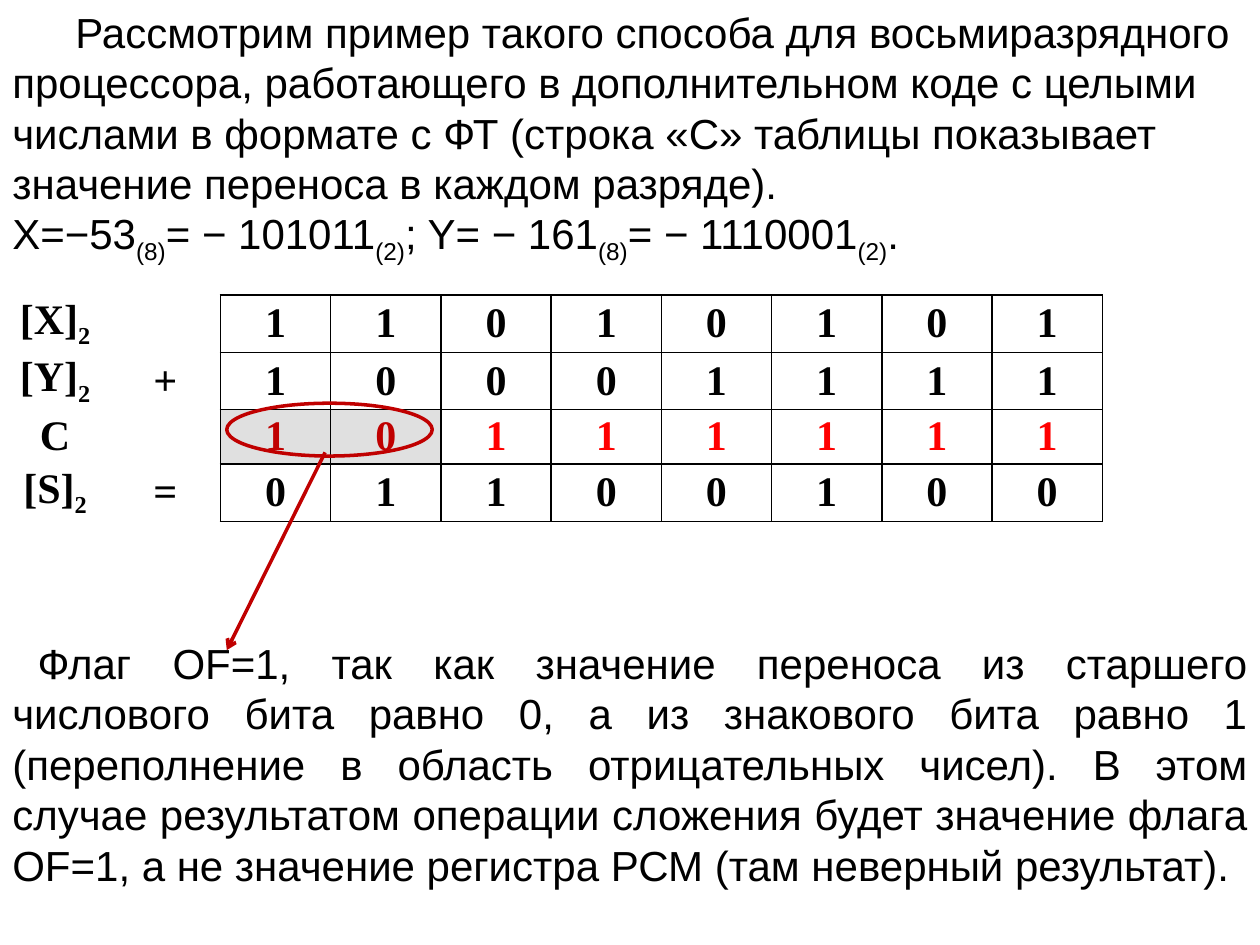
from lxml import etree
from pptx import Presentation
from pptx.dml.color import RGBColor
from pptx.enum.dml import MSO_FILL
from pptx.enum.shapes import MSO_CONNECTOR, MSO_SHAPE
from pptx.enum.text import MSO_ANCHOR, MSO_AUTO_SIZE, PP_ALIGN
from pptx.oxml.ns import qn
from pptx.util import Pt

STRAIGHT = MSO_CONNECTOR.STRAIGHT
OVAL = MSO_SHAPE.OVAL
TOP, MIDDLE = MSO_ANCHOR.TOP, MSO_ANCHOR.MIDDLE
FIT_SHAPE = MSO_AUTO_SIZE.SHAPE_TO_FIT_TEXT
LEFT, CENTER, JUSTIFY = PP_ALIGN.LEFT, PP_ALIGN.CENTER, PP_ALIGN.JUSTIFY

BLACK = RGBColor(0x00, 0x00, 0x00)
RED = RGBColor(0xFF, 0x00, 0x00)
DARK_RED = RGBColor(0xC0, 0x00, 0x00)
GRAY = RGBColor(0xE0, 0xE0, 0xE0)

INTRO = [
    ("Рассмотрим пример такого способа для восьмиразрядного процессора, "
     "работающего в дополнительном коде с целыми числами в формате с ФТ "
     "(строка «С» таблицы показывает значение переноса в каждом разряде).", ""),
]
NUMBERS = [
    ("X=−53", "(8)"),
    ("= − 101011", "(2)"),
    ("; Y= − 161", "(8)"),
    ("= − 1110001", "(2)"),
    (".", ""),
]
CONCLUSION = [
    ("Флаг OF=1, так как значение переноса из старшего числового бита равно 0, "
     "а из знакового бита равно 1 (переполнение в область отрицательных чисел). "
     "В этом случае результатом операции сложения будет значение флага OF=1, "
     "а не значение регистра РСМ (там неверный результат).", ""),
]
ADDITION = [
    (("[X]", "2"), "", "11010101"),
    (("[Y]", "2"), "+", "10001111"),
    (("С", ""), "", "10111111"),
    (("[S]", "2"), "=", "01100100"),
]
CARRY_ROW = 2
FIRST_BIT_COLUMN = 2
FLAG_COLUMNS = (2, 3)
COLUMN_COUNT = 10
COLUMN_WIDTH, ROW_HEIGHT = 63, 31


def write_parts(paragraph, parts, font_name, color=BLACK, bold=False):
    for base, subscript in parts:
        for text, is_subscript in ((base, False), (subscript, True)):
            if not text:
                continue
            run = paragraph.add_run()
            run.text = text
            run.font.name = font_name
            run.font.size = Pt(24)
            run.font.bold = bold
            run.font.color.rgb = color
            if is_subscript:
                run.font._element.set("baseline", "-25000")


def add_text(slide, top, anchor, paragraphs):
    frame = slide.shapes.add_textbox(Pt(0), Pt(top), Pt(720), Pt(152.6)).text_frame
    frame.word_wrap = True
    frame.auto_size = FIT_SHAPE
    frame.vertical_anchor = anchor
    for index, (parts, alignment, indent) in enumerate(paragraphs):
        paragraph = frame.add_paragraph() if index else frame.paragraphs[0]
        paragraph.alignment = alignment
        paragraph._p.get_or_add_pPr().set("indent", str(Pt(indent)))
        write_parts(paragraph, parts, "Arial")


def set_borders(cell, visible_sides):
    properties = cell._tc.get_or_add_tcPr()
    for side in "LRTB":
        border = etree.SubElement(properties, qn(f"a:ln{side}"), w=str(Pt(1)))
        if side in visible_sides:
            fill = etree.SubElement(border, qn("a:solidFill"))
            etree.SubElement(fill, qn("a:srgbClr"), val=str(BLACK))
        else:
            etree.SubElement(border, qn("a:noFill"))


def add_addition_table(slide):
    table = slide.shapes.add_table(
        len(ADDITION), COLUMN_COUNT, Pt(0), Pt(168.5),
        Pt(COLUMN_COUNT * COLUMN_WIDTH), Pt(len(ADDITION) * ROW_HEIGHT)).table
    table.first_row = False
    table.horz_banding = False
    for column in table.columns:
        column.width = Pt(COLUMN_WIDTH)
    for row_index, (label, sign, bits) in enumerate(ADDITION):
        table.rows[row_index].height = Pt(ROW_HEIGHT)
        contents = [label, (sign, "")] + [(bit, "") for bit in bits]
        for column_index, content in enumerate(contents):
            cell = table.cell(row_index, column_index)
            is_bit = column_index >= FIRST_BIT_COLUMN
            is_carry = is_bit and row_index == CARRY_ROW
            is_flag = is_carry and column_index in FLAG_COLUMNS
            cell.vertical_anchor = MIDDLE
            cell.margin_left = cell.margin_right = Pt(5)
            cell.margin_top = cell.margin_bottom = Pt(0)
            before_bits = "R" if column_index == FIRST_BIT_COLUMN - 1 else ""
            set_borders(cell, "LRTB" if is_bit else before_bits)
            if is_flag:
                cell.fill.solid()
                cell.fill.fore_color.rgb = GRAY
            else:
                cell.fill.background()
            paragraph = cell.text_frame.paragraphs[0]
            paragraph.alignment = CENTER
            paragraph.space_after = Pt(2)
            color = DARK_RED if is_flag else RED if is_carry else BLACK
            write_parts(paragraph, [content], "Times New Roman", color, True)


def add_flag_callout(slide):
    arrow = slide.shapes.add_connector(
        STRAIGHT, Pt(185.8), Pt(258.5), Pt(129.6), Pt(371.5))
    oval = slide.shapes.add_shape(OVAL, Pt(129.6), Pt(230.4), Pt(117.4), Pt(30.2))
    oval.shadow.inherit = False
    oval.fill.background()
    for outline in (arrow.line, oval.line):
        outline.color.rgb = DARK_RED
        outline.width = Pt(2)
    etree.SubElement(arrow.line._get_or_add_ln(), qn("a:tailEnd"), type="arrow")
    etree.SubElement(arrow._element.spPr, qn("a:effectLst"))


def main():
    presentation = Presentation()
    presentation.slide_width, presentation.slide_height = Pt(720), Pt(540)
    slide = presentation.slides.add_slide(presentation.slide_layouts[6])
    add_text(slide, 0, TOP, [(INTRO, LEFT, 36), (NUMBERS, LEFT, 0)])
    add_addition_table(slide)
    add_text(slide, 360, MIDDLE, [(CONCLUSION, JUSTIFY, 14.4)])
    add_flag_callout(slide)
    presentation.save("out.pptx")


if __name__ == "__main__":
    main()
